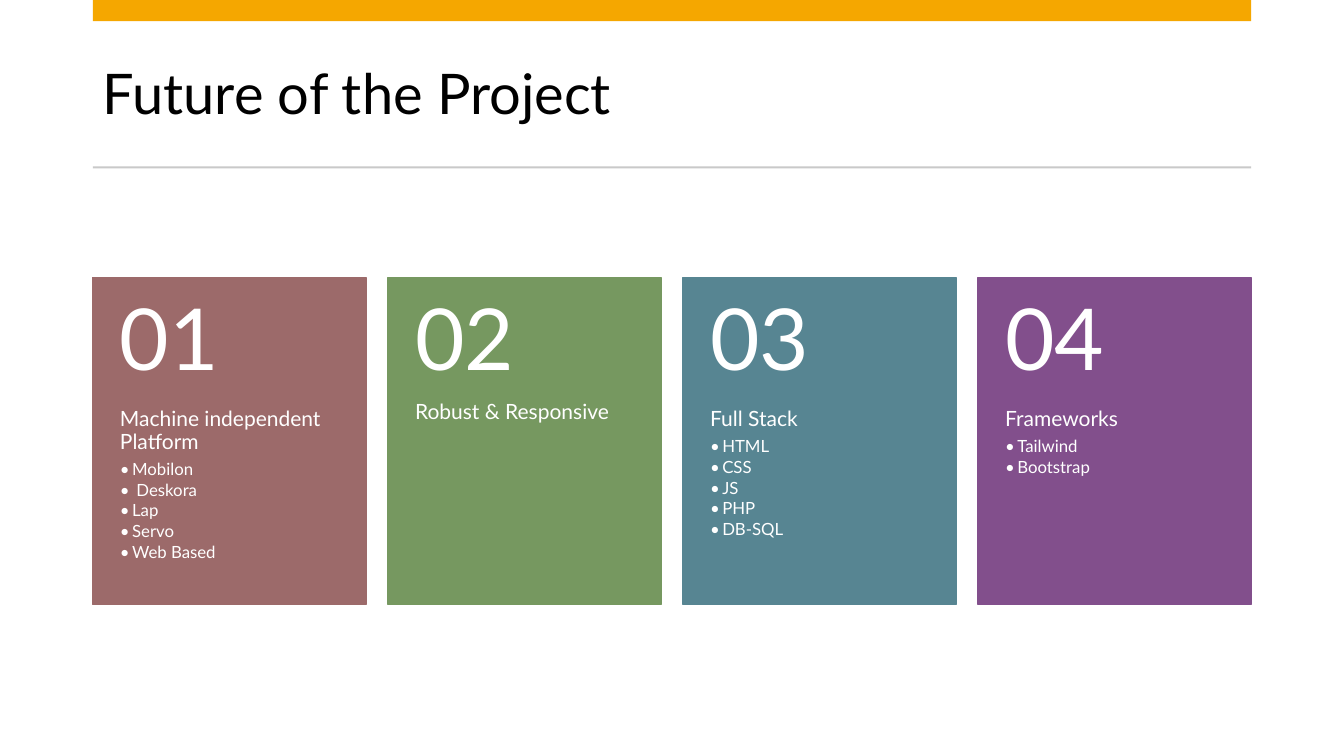
"""Build the "Future of the Project" slide with four numbered cards."""
from dataclasses import dataclass

from lxml import etree
from pptx import Presentation
from pptx import util as u
from pptx.dml import color
from pptx.enum import shapes, text
from pptx.oxml import ns

COLORS = {
    "accent": "F5A700", "rule": "C9C9C9", "title": "000000", "card_text": "FFFFFF",
    "rose": "9C6A6A", "green": "769860", "teal": "578592", "purple": "824F8C",
}
FONT = "Lato"
LEFT, WIDTH = 0.92, 11.49
CARD_TOP, CARD_WIDTH, CARD_HEIGHT = 2.75, 2.71, 3.25
NUMBER_HEIGHT = 1.3
HANGING = 0.12


@dataclass(frozen=True)
class Card:
    """Content and colour of one card."""
    color: str
    heading: str
    items: tuple[str, ...] = ()


CARDS = (
    Card("rose", "Machine independent Platform",
         ("Mobilon", " Deskora", "Lap", "Servo", "Web Based")),
    Card("green", "Robust & Responsive"),
    Card("teal", "Full Stack", ("HTML", "CSS", "JS", "PHP", "DB-SQL")),
    Card("purple", "Frameworks", ("Tailwind", "Bootstrap")),
)


def rgb(name: str) -> color.RGBColor:
    """Return a named colour."""
    return color.RGBColor.from_string(COLORS[name])


def add_block(parent, left: float, top: float, width: float, height: float,
              fill: str, outlined: bool = False) -> None:
    """Draw a filled rectangle, with a matching outline if asked."""
    block = parent.add_shape(shapes.MSO_SHAPE.RECTANGLE, u.Inches(left), u.Inches(top),
                             u.Inches(width), u.Inches(height))
    block.shadow.inherit = False
    block.fill.solid()
    block.fill.fore_color.rgb = rgb(fill)
    if outlined:
        block.line.color.rgb = rgb(fill)
        block.line.width = u.Pt(1)
    else:
        block.line.fill.background()


def add_frame(parent, left: float, top: float, height: float,
              inset_top: float, inset_bottom: float, anchor: text.MSO_ANCHOR):
    """Add a wrapping text box of card width and return its text frame."""
    frame = parent.add_textbox(u.Inches(left), u.Inches(top),
                               u.Inches(CARD_WIDTH), u.Inches(height)).text_frame
    frame.word_wrap = True
    frame.vertical_anchor = anchor
    frame.margin_left = frame.margin_right = u.Inches(0.27)
    frame.margin_top, frame.margin_bottom = u.Inches(inset_top), u.Inches(inset_bottom)
    return frame


def write(paragraph, words: str, size: float, ink: str, after: float = 0) -> None:
    """Write one run with its spacing, where after is a share of the size."""
    paragraph.alignment = text.PP_ALIGN.LEFT
    paragraph.line_spacing = 0.9
    paragraph.space_after = u.Pt(size * after)
    run = paragraph.add_run()
    run.text = words
    run.font.name = FONT
    run.font.size = u.Pt(size)
    run.font.color.rgb = rgb(ink)


def add_bullet(paragraph) -> None:
    """Give a paragraph a hanging bullet."""
    properties = paragraph._p.get_or_add_pPr()
    properties.set("marL", str(u.Inches(HANGING)))
    properties.set("indent", str(-u.Inches(HANGING)))
    etree.SubElement(properties, ns.qn("a:buFont")).set("typeface", FONT)
    etree.SubElement(properties, ns.qn("a:buChar")).set("char", "•")


def add_card(slide, index: int, card: Card) -> None:
    """Draw a card with its number, heading and items."""
    left = LEFT + index * (WIDTH - CARD_WIDTH) / (len(CARDS) - 1)
    group = slide.shapes.add_group_shape().shapes
    add_block(group, left, CARD_TOP, CARD_WIDTH, CARD_HEIGHT, card.color, outlined=True)

    details = add_frame(group, left, CARD_TOP + NUMBER_HEIGHT, CARD_HEIGHT - NUMBER_HEIGHT,
                        0, 0.36, text.MSO_ANCHOR.TOP)
    write(details.paragraphs[0], card.heading, 15, "card_text", 0.35 if card.items else 0)
    for item in card.items:
        entry = details.add_paragraph()
        entry.level = 1
        write(entry, item, 12, "card_text", 0.15)
        add_bullet(entry)

    number = add_frame(group, left, CARD_TOP, NUMBER_HEIGHT, 0.18, 0.18,
                       text.MSO_ANCHOR.MIDDLE)
    write(number.paragraphs[0], f"{index + 1:02}", 61, "card_text", 0.35)


def add_title(slide) -> None:
    """Place and format the title."""
    title = slide.shapes.title
    title.left, title.top = u.Inches(LEFT), u.Inches(0.37)
    title.width, title.height = u.Inches(WIDTH), u.Inches(1.18)
    title.text_frame.auto_size = text.MSO_AUTO_SIZE.NONE
    title.text_frame.vertical_anchor = text.MSO_ANCHOR.MIDDLE
    write(title.text_frame.paragraphs[0], "Future of the Project", 40, "title")


def main() -> None:
    """Build and save the presentation."""
    deck = Presentation()
    deck.slide_width, deck.slide_height = u.Inches(13.33), u.Inches(7.5)
    slide = deck.slides.add_slide(deck.slide_layouts[5])
    add_title(slide)
    add_block(slide.shapes, LEFT, 0, WIDTH, 0.21, "accent")
    add_block(slide.shapes, LEFT, 1.65, WIDTH, 0.02, "rule")
    for index, card in enumerate(CARDS):
        add_card(slide, index, card)
    deck.save("out.pptx")


if __name__ == "__main__":
    main()
